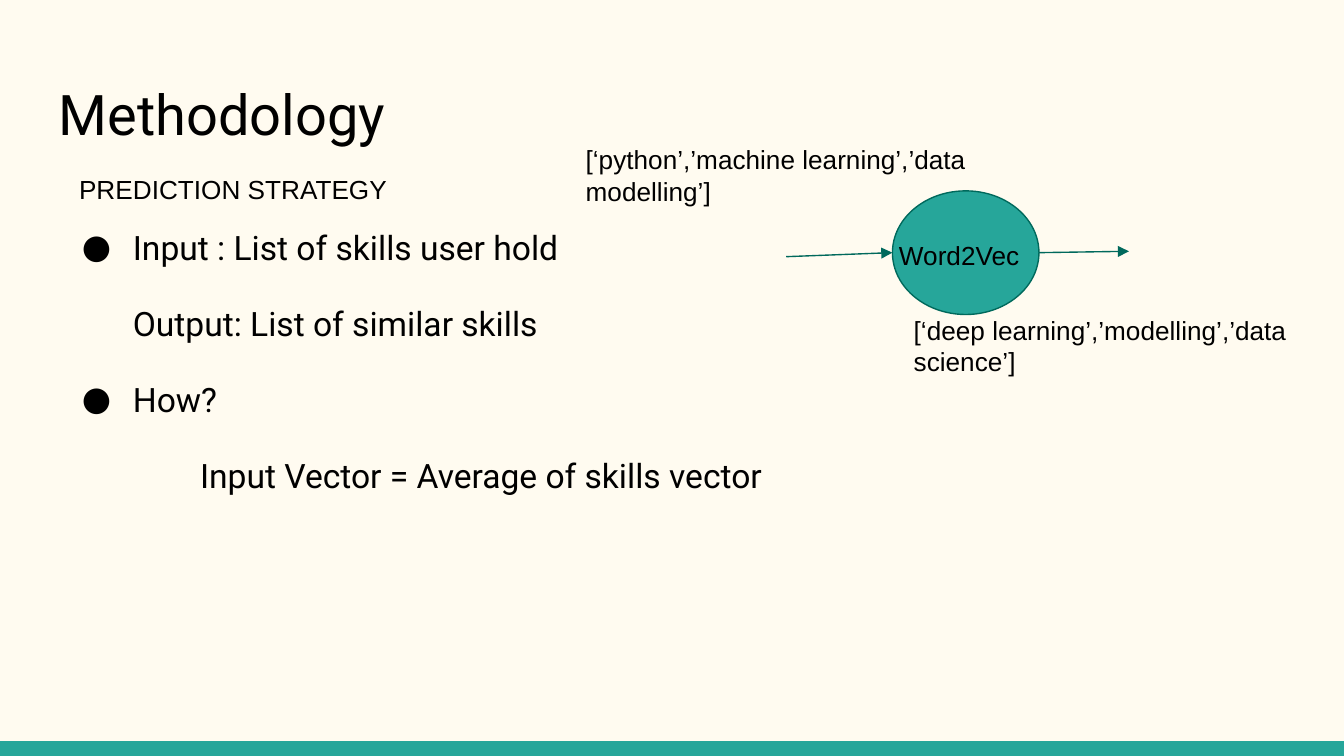
from lxml import etree
from pptx import Presentation
from pptx.dml.color import RGBColor
from pptx.enum.shapes import MSO_CONNECTOR, MSO_SHAPE
from pptx.enum.text import MSO_ANCHOR
from pptx.oxml.ns import qn
from pptx.util import Inches, Pt

RECTANGLE, OVAL = MSO_SHAPE.RECTANGLE, MSO_SHAPE.OVAL
STRAIGHT = MSO_CONNECTOR.STRAIGHT
TOP = MSO_ANCHOR.TOP

WIDTH = 10
HEIGHT = WIDTH * 9 / 16
COLORS = {"background": "FFFBF0", "teal": "26A69A", "outline": "00695C", "text": "000000"}

TITLE = {"name": "Roboto", "size": Pt(30)}
BODY = {"name": "Roboto", "size": Pt(18)}
LABEL = {"name": "Arial", "size": Pt(14)}

# text, (left, top, width, height), font
LABELS = [
    ("Methodology", (0.34, 0.49, 9.32, 0.67), TITLE),
    ("PREDICTION STRATEGY", (0.49, 1.19, 2.64, 0.31), LABEL),
    ("Word2Vec", (6.59, 1.69, 1.18, 0.19), LABEL),
    ("[‘python’,’machine learning’,’data modelling’]", (4.26, 0.97, 3.46, 0.76), LABEL),
    ("[‘deep learning’,’modelling’,’data science’]", (6.7, 2.24, 3.15, 0.84), LABEL),
]

# text, left margin, bulleted
STEPS = [
    ("Input : List of skills user hold", 0.5, True),
    ("Output: List of similar skills", 0.5, False),
    ("How?", 0.5, True),
    ("Input Vector = Average of skills vector", 1, False),
]
STEPS_AREA = (0.39, 1.54, 9.32, 3.49)
BULLET_INDENT = 0.38

BAR_HEIGHT = 0.11
BAR_AREA = (0, HEIGHT - BAR_HEIGHT, WIDTH, BAR_HEIGHT)
MODEL_AREA = (6.64, 1.42, 1.09, 0.92)
INPUT_START = (5.85, 1.91)
OUTPUT_END = (8.4, 1.87)


def color(name):
    return RGBColor.from_string(COLORS[name])


def add_box(slide, area):
    box = slide.shapes.add_textbox(*map(Inches, area))
    frame = box.text_frame
    frame.word_wrap = True
    frame.vertical_anchor = TOP
    for side in ("left", "top", "right", "bottom"):
        setattr(frame, f"margin_{side}", Inches(0.1))
    return frame


def write(para, text, font):
    span = para.add_run()
    span.text = text
    for key, value in font.items():
        setattr(span.font, key, value)
    span.font.color.rgb = color("text")


def set_bullet(para, margin, bulleted):
    properties = para._p.get_or_add_pPr()
    properties.set("marL", str(Inches(margin)))
    properties.set("indent", str(-Inches(BULLET_INDENT) if bulleted else 0))
    if bulleted:
        bullet_color = etree.SubElement(properties, qn("a:buClr"))
        etree.SubElement(bullet_color, qn("a:srgbClr"), val=COLORS["text"])
        etree.SubElement(properties, qn("a:buFont"), typeface=BODY["name"])
        etree.SubElement(properties, qn("a:buChar"), char="●")
    else:
        etree.SubElement(properties, qn("a:buNone"))


def add_steps(slide):
    frame = add_box(slide, STEPS_AREA)
    for index, (text, margin, bulleted) in enumerate(STEPS):
        para = frame.add_paragraph() if index else frame.paragraphs[0]
        para.line_spacing = 1.15
        para.space_before = Pt(16 if index else 0)
        set_bullet(para, margin, bulleted)
        write(para, text, BODY)


def add_filled(slide, kind, area):
    shape = slide.shapes.add_shape(kind, *map(Inches, area))
    shape.shadow.inherit = False
    shape.fill.solid()
    shape.fill.fore_color.rgb = color("teal")
    return shape


def set_outline(line):
    line.color.rgb = color("outline")
    line.width = Pt(0.75)


def add_arrow(slide, start, end):
    arrow = slide.shapes.add_connector(STRAIGHT, *map(Inches, start + end))
    set_outline(arrow.line)
    etree.SubElement(arrow.line._get_or_add_ln(), qn("a:tailEnd"), type="triangle")
    etree.SubElement(arrow._element.spPr, qn("a:effectLst"))


def add_model(slide):
    set_outline(add_filled(slide, OVAL, MODEL_AREA).line)
    left, top, width, height = MODEL_AREA
    middle = top + height / 2
    add_arrow(slide, INPUT_START, (left, middle))
    add_arrow(slide, (left + width, middle), OUTPUT_END)


def main():
    deck = Presentation()
    deck.slide_width, deck.slide_height = Inches(WIDTH), Inches(HEIGHT)
    slide = deck.slides.add_slide(deck.slide_layouts[6])
    slide.background.fill.solid()
    slide.background.fill.fore_color.rgb = color("background")

    add_filled(slide, RECTANGLE, BAR_AREA).line.fill.background()
    add_steps(slide)
    add_model(slide)
    for text, area, font in LABELS:
        write(add_box(slide, area).paragraphs[0], text, font)
    deck.save("out.pptx")


if __name__ == "__main__":
    main()
